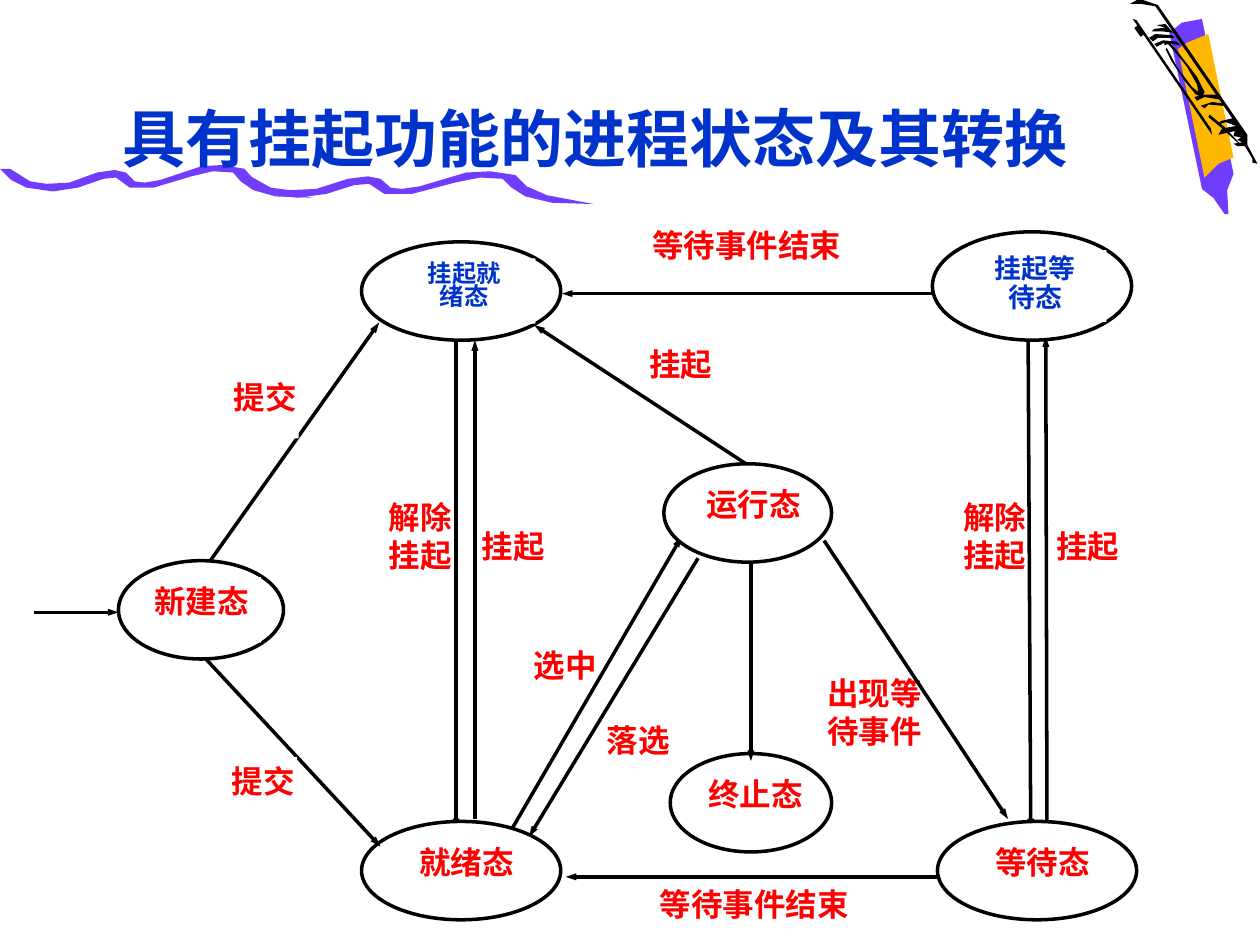
from lxml import etree
from pptx import Presentation
from pptx.dml.color import RGBColor
from pptx.enum.shapes import MSO_CONNECTOR, MSO_SHAPE
from pptx.enum.text import MSO_ANCHOR, MSO_AUTO_SIZE, PP_ALIGN
from pptx.oxml.ns import qn
from pptx.util import Pt

STRAIGHT = MSO_CONNECTOR.STRAIGHT
RECTANGLE, OVAL = MSO_SHAPE.RECTANGLE, MSO_SHAPE.OVAL
CENTER = PP_ALIGN.CENTER
TOP, BOTTOM = MSO_ANCHOR.TOP, MSO_ANCHOR.BOTTOM
NO_AUTOFIT = MSO_AUTO_SIZE.NONE

BLACK, WHITE, RED, BLUE = "000000", "FFFFFF", "FF0000", "0033CC"
PURPLE, AMBER = "703DFF", "FFB800"
DIAGRAM_FONT, TITLE_FONT = "Noto Sans CJK JP", "Noto Sans CJK SC"
GRID = 0.72  # points per unit of the decoration outlines
LABEL_HEIGHT = 37.4

WAVE = [(8, 134), (24, 144), (37, 146), (55, 145), (77, 137), (91, 135), (100, 137),
        (107, 144), (115, 145), (127, 143), (160, 132), (176, 131), (194, 134),
        (202, 143), (216, 150), (248, 157), (219, 156), (201, 151), (191, 144),
        (185, 137), (169, 136), (152, 140), (122, 149), (103, 149), (92, 141),
        (82, 142), (62, 149), (42, 152), (21, 149), (9, 143), (0, 134)]

PENCIL = [
    # Body and wood
    (PURPLE, [(28, 26), (54, 150), (63, 157), (72, 170), (75, 170), (74, 151), (79, 138),
              (54, 15), (38, 18)]),
    (AMBER, [(56, 141), (67, 130), (79, 125), (59, 27), (42, 34), (35, 39)]),
    # Ink strokes
    (BLACK, [(59, 93), (70, 102), (84, 115), (84, 114), (72, 101), (60, 91)]),
    (BLACK, [(14, 25), (23, 25), (31, 26), (25, 19), (18, 20), (25, 22), (16, 23)]),
    (BLACK, [(25, 39), (30, 49), (40, 64), (49, 75), (54, 77), (56, 73), (50, 61), (40, 48),
             (33, 39), (27, 33), (24, 33), (24, 36), (27, 35), (34, 43), (42, 53), (50, 67),
             (51, 73), (46, 69), (34, 53), (26, 38)]),
    (BLACK, [(-1, 15), (62, 107), (61, 102), (2, 16)]),
    (BLACK, [(67, 107), (70, 102), (81, 100), (73, 97), (66, 99), (69, 96), (78, 94), (17, 5),
             (5, 3), (-3, 3), (4, -1), (19, 4), (90, 107), (90, 115), (98, 130), (94, 129),
             (94, 126), (88, 116), (82, 116), (79, 114), (86, 113), (82, 111), (85, 109),
             (79, 108), (80, 104)]),
    (BLACK, [(56, 86), (59, 83), (71, 84), (70, 82), (62, 81), (53, 84)]),
    (BLACK, [(50, 80), (56, 77), (68, 79), (65, 75), (56, 75), (48, 77)]),
    (BLACK, [(18, 37), (24, 34), (37, 36), (34, 33), (23, 32), (16, 35)]),
    (BLACK, [(15, 33), (19, 30), (32, 30), (30, 28), (17, 27), (12, 30)]),
]

# Text, left, top, width, height
LABELS = [
    ("挂起", 352, 68.4, 38.2, LABEL_HEIGHT),
    ("等待事件结束", 346.3, 0, 124.6, LABEL_HEIGHT),
    ("出现等待事件", 452.9, 256.3, 57.6, 75.6),
    ("解除挂起", 202.3, 155.5, 39.6, 68.4),
    ("挂起", 256.3, 172.1, 38.2, LABEL_HEIGHT),
    ("落选", 326.9, 283, 39.6, LABEL_HEIGHT),
    ("选中", 285.1, 240.5, 39.6, LABEL_HEIGHT),
    ("等待事件结束", 350.6, 376.6, 124.6, LABEL_HEIGHT),
    ("解除挂起", 530.6, 155.5, 39.6, 68.4),
    ("挂起", 584.6, 172.1, 38.2, LABEL_HEIGHT),
]
SUBMIT_LABELS = [
    ("提交", 114.5, 87.1, 38.2, LABEL_HEIGHT),
    ("提交", 113, 306.7, 38.9, LABEL_HEIGHT),
]

# Lines of text, ellipse box, label inset and width, then any text settings
STATES = [
    (["运行态"], (361.4, 139, 95.8, 56.2), 22.3, 57.6, {}),
    (["就绪态"], (188.6, 343.4, 113.8, 56.2), 25.9, 68.4, {}),
    (["终止态"], (365, 304.6, 92.2, 56.2), 20.9, 55.4, {}),
    (["挂起就", "绪态"], (188.6, 12.2, 113.8, 56.2), 18, 81.4,
     {"size": 13.9, "color": BLUE, "spacing": 0.8}),
    (["挂起等", "待态"], (514.8, 6.5, 113.8, 61.9), 18, 81.4,
     {"size": 15.3, "color": BLUE, "spacing": 0.9}),
    (["等待态"], (517.7, 343.4, 113.8, 56.2), 25.9, 68.4, {}),
]
NEW_STATE = (["新建态"], (49.7, 194.4, 94.3, 56.2), 13.7, 67.7, {})

# Start x, start y, end x, end y; the arrowhead is at the end
BACK_ARROWS = [
    (523.4, 41.8, 303.1, 41.8), (242.6, 51.8, 242.6, 347.8), (253.4, 342, 253.4, 68.4),
    (265.7, 362.9, 371.5, 180.7), (380.9, 193, 284.4, 352.1), (452.9, 182.9, 558, 342),
    (525.6, 375.1, 305.3, 375.1), (569.5, 64.1, 571, 347.8), (580.3, 350.6, 579.6, 66.2),
]
FRONT_ARROWS = [
    (94.3, 244.8, 199.4, 357.8), (411.1, 194.4, 411.1, 308.9), (408.2, 139, 287.3, 59.8),
    (102.2, 194.4, 198.7, 58.3), (1.4, 223.9, 49.7, 223.9),
]


def rgb(color):
    return RGBColor.from_string(color)


def format_paragraph(paragraph, font_name, size, color):
    paragraph.alignment = CENTER
    font = paragraph.font
    font.name, font.size, font.bold = font_name, Pt(size), True
    font.color.rgb = rgb(color)
    properties = paragraph._p.pPr.find(qn("a:defRPr"))
    etree.SubElement(properties, qn("a:ea"), typeface=font_name)


def add_outline(slide, left, top, points, color):
    builder = slide.shapes.build_freeform(*points[0], scale=Pt(GRID))
    builder.add_line_segments(points[1:], close=True)
    shape = builder.convert_to_shape(Pt(left), Pt(top))
    shape.fill.solid()
    shape.fill.fore_color.rgb = rgb(color)
    shape.line.fill.background()
    shape.shadow.inherit = False


def add_line(slide, ends, width, arrow=False):
    line = slide.shapes.add_connector(STRAIGHT, *[Pt(value) for value in ends])
    line.line.width = Pt(width)
    line.line.color.rgb = rgb(BLACK)
    if arrow:
        etree.SubElement(line.line._get_or_add_ln(), qn("a:tailEnd"),
                         type="triangle", w="sm", len="med")
    etree.SubElement(line._element.spPr, qn("a:effectLst"))


def add_white_shape(slide, kind, left, top, width, height):
    shape = slide.shapes.add_shape(kind, Pt(left), Pt(top), Pt(width), Pt(height))
    shape.fill.solid()
    shape.fill.fore_color.rgb = rgb(WHITE)
    shape.line.fill.background()
    shape.shadow.inherit = False
    return shape


def add_label(slide, lines, left, top, width, height, size=18, color=RED, spacing=None):
    frame = add_white_shape(slide, RECTANGLE, left, top, width, height).text_frame
    frame.word_wrap = True
    frame.vertical_anchor = TOP
    frame.margin_left = frame.margin_right = frame.margin_bottom = 0
    frame.margin_top = Pt(2.9)
    frame.text = "\n".join(lines)
    for paragraph in frame.paragraphs:
        paragraph.line_spacing = spacing
        format_paragraph(paragraph, DIAGRAM_FONT, size, color)


def add_state(slide, left, top, state):
    lines, (x, y, width, height), inset, label_width, settings = state
    ellipse = add_white_shape(slide, OVAL, left + x, top + y, width, height)
    ellipse.line.color.rgb = rgb(BLACK)
    ellipse.line.width = Pt(2)
    label_height = LABEL_HEIGHT if height < 60 else 41
    add_label(slide, lines, left + x + inset, top + y + (height - label_height) / 2,
              label_width, label_height, **settings)


def draw_decorations(slide, pencil_left, wave_top):
    # Pencil
    for color, points in PENCIL:
        add_outline(slide, pencil_left, 0, points, color)
    add_line(slide, (pencil_left + 1.4, 15.1, pencil_left + 5, 20.2), 3)
    # Two waves, the second one longer and lower
    for left, top, stretch in ((0, 0, 1), (135.4, 3.6, 1.14)):
        points = [(x * stretch, y) for x, y in WAVE]
        add_outline(slide, left, wave_top + top, points, PURPLE)


def draw_diagram(slide, left, top):
    def draw_arrows(arrows):
        for x1, y1, x2, y2 in arrows:
            add_line(slide, (left + x1, top + y1, left + x2, top + y2), 2, arrow=True)

    def draw_labels(labels):
        for text, x, y, width, height in labels:
            add_label(slide, [text], left + x, top + y, width, height)

    draw_labels(LABELS)
    draw_arrows(BACK_ARROWS)
    for state in STATES:
        add_state(slide, left, top, state)
    draw_arrows(FRONT_ARROWS)
    add_state(slide, left, top, NEW_STATE)
    draw_labels(SUBMIT_LABELS)


def place_title(slide, text, left, top, width, height):
    title = slide.shapes.title
    title.left, title.top, title.width, title.height = map(Pt, (left, top, width, height))
    title.text_frame.text = text
    title.text_frame.auto_size = NO_AUTOFIT
    title.text_frame.vertical_anchor = BOTTOM
    format_paragraph(title.text_frame.paragraphs[0], TITLE_FONT, 36, BLUE)
    slide.shapes._spTree.append(title._element)  # in front of the wave


def main():
    presentation = Presentation()
    presentation.slide_width, presentation.slide_height = Pt(720), Pt(540)
    slide = presentation.slides.add_slide(presentation.slide_layouts[5])
    draw_decorations(slide, 648, 0)
    draw_diagram(slide, 18, 126)
    place_title(slide, "具有挂起功能的进程状态及其转换", 54, 37.4, 572.4, 66.2)
    presentation.save("out.pptx")


if __name__ == "__main__":
    main()
